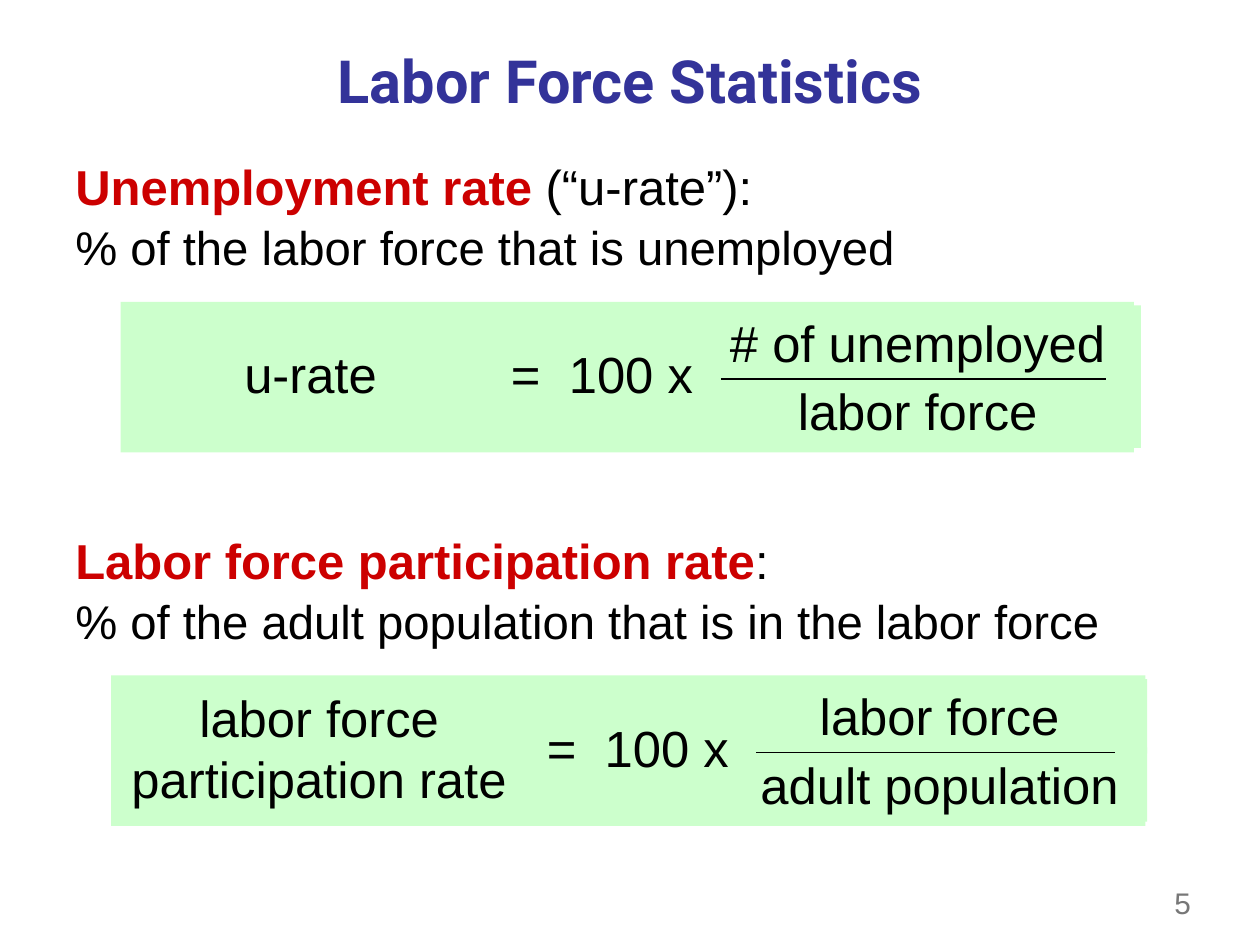
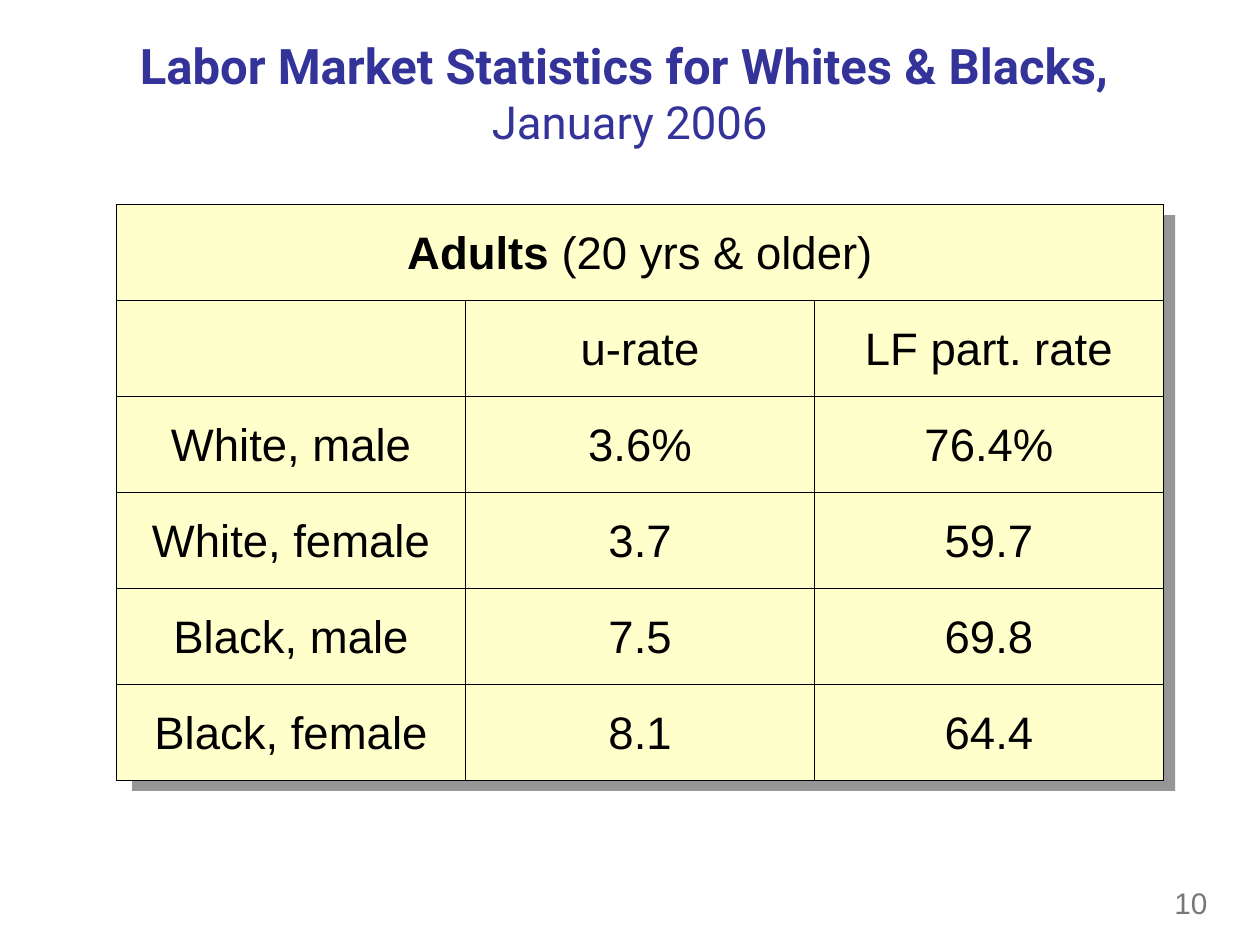
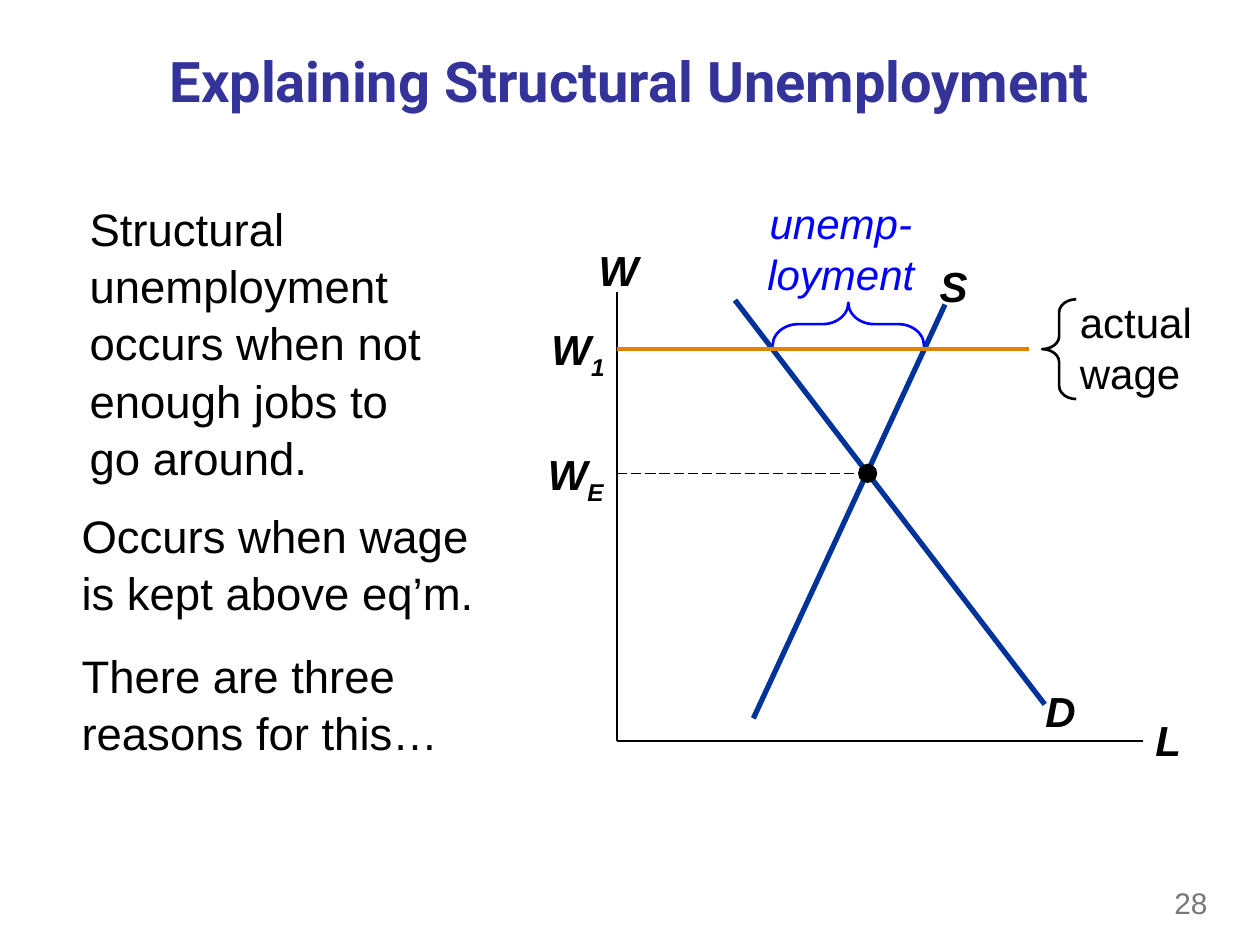
from dataclasses import dataclass, replace
from typing import NamedTuple

from lxml.etree import SubElement
from pptx import Presentation
from pptx.dml.color import RGBColor
from pptx.enum.dml import MSO_LINE
from pptx.enum.shapes import MSO_CONNECTOR, MSO_SHAPE
from pptx.enum.text import MSO_ANCHOR, MSO_AUTO_SIZE, PP_ALIGN
from pptx.oxml.ns import qn
from pptx.util import Pt

# Colours
BLACK = RGBColor(0x00, 0x00, 0x00)
TITLE_BLUE = RGBColor(0x33, 0x33, 0x99)
TERM_RED = RGBColor(0xCC, 0x00, 0x00)
PAGE_GREY = RGBColor(0x77, 0x77, 0x77)
FORMULA_GREEN = RGBColor(0xCC, 0xFF, 0xCC)
TABLE_YELLOW = RGBColor(0xFF, 0xFF, 0xCC)
SHADOW_GREY = RGBColor(0x96, 0x96, 0x96)
CURVE_BLUE = RGBColor(0x00, 0x33, 0x99)
WAGE_ORANGE = RGBColor(0xDE, 0x84, 0x00)
GAP_BLUE = RGBColor(0x00, 0x00, 0xFF)

TITLE_ONLY, TITLE_AND_BODY = 5, 1


class Box(NamedTuple):
    left: float
    top: float
    width: float
    height: float

    def lengths(self) -> list:
        return [Pt(value) for value in self]


class Span(NamedTuple):
    """Some words, with what differs from their paragraph."""
    text: str
    size: float | None = None
    color: RGBColor | None = None
    bold: bool | None = None
    subscript: bool = False


@dataclass(frozen=True)
class Style:
    size: float
    color: RGBColor = BLACK
    font: str = "Arial"
    bold: bool = False
    italic: bool = False
    align: PP_ALIGN = PP_ALIGN.LEFT
    before: float = 0
    spacing: float = 1.0
    anchor: MSO_ANCHOR = MSO_ANCHOR.TOP
    inset: bool = True


@dataclass(frozen=True)
class Formula:
    top: float
    panel: tuple[float, float]
    label: tuple[float, float]
    times_left: float
    fraction: tuple[float, float]
    bar: tuple[float, float]
    name: str
    numerator: str
    denominator: str


class Line(NamedTuple):
    start: tuple[float, float]
    end: tuple[float, float]
    color: RGBColor = BLACK
    weight: float = 1
    dash: MSO_LINE | None = None


class Label(NamedTuple):
    box: Box
    spans: list[Span]
    style: Style


# Text styles
TITLE = Style(34, TITLE_BLUE, "Roboto", bold=True, align=PP_ALIGN.CENTER,
              anchor=MSO_ANCHOR.MIDDLE)
PAGE = Style(17, PAGE_GREY, anchor=MSO_ANCHOR.MIDDLE)
DEFINITION = Style(28, before=15.1, spacing=1.05)
BODY = Style(26, before=14.6, spacing=1.05)
CELL = replace(BODY, align=PP_ALIGN.CENTER, anchor=MSO_ANCHOR.MIDDLE)
FRACTION = Style(29, align=PP_ALIGN.CENTER, before=18.1)
FORMULA_NAME = replace(FRACTION, anchor=MSO_ANCHOR.MIDDLE, inset=False)
FORMULA_TIMES = replace(FORMULA_NAME, align=PP_ALIGN.LEFT)
NOTE = Style(24, before=15)
SYMBOL = replace(NOTE, bold=True, italic=True, align=PP_ALIGN.CENTER)
WAGE_SYMBOL = replace(SYMBOL, align=PP_ALIGN.RIGHT, inset=False)
GAP_NOTE = replace(NOTE, color=GAP_BLUE, italic=True, align=PP_ALIGN.CENTER, inset=False)

TITLE_BOX = Box(36, 20, 648, 51)
PAGE_BOX = Box(664, 501, 48, 30)


# Text
def write_span(paragraph, span: Span) -> None:
    for index, line in enumerate(span.text.split("\n")):
        if index:
            paragraph.add_line_break()
        if not line:
            continue
        run = paragraph.add_run()
        run.text = line
        if span.size:
            run.font.size = Pt(span.size)
        if span.color is not None:
            run.font.color.rgb = span.color
        if span.bold is not None:
            run.font.bold = span.bold
        if span.subscript:
            run._r.get_or_add_rPr().set("baseline", "-25000")


def write_paragraph(paragraph, spans: list[Span], style: Style) -> None:
    paragraph.alignment = style.align
    paragraph.space_before = Pt(style.before)
    paragraph.line_spacing = style.spacing
    font = paragraph.font
    font.name, font.size = style.font, Pt(style.size)
    font.bold, font.italic = style.bold, style.italic
    font.color.rgb = style.color
    for span in spans:
        write_span(paragraph, span)


def write_frame(frame, paragraphs: list[list[Span]], style: Style) -> None:
    frame.word_wrap = True
    frame.auto_size = MSO_AUTO_SIZE.NONE
    frame.vertical_anchor = style.anchor
    frame.margin_left = frame.margin_right = Pt(7.2 if style.inset else 0)
    frame.margin_top = frame.margin_bottom = Pt(3.6 if style.inset else 0)
    for index, spans in enumerate(paragraphs):
        paragraph = frame.add_paragraph() if index else frame.paragraphs[0]
        write_paragraph(paragraph, spans, style)


def add_text(slide, box: Box, paragraphs: list[list[Span]], style: Style) -> None:
    write_frame(slide.shapes.add_textbox(*box.lengths()).text_frame, paragraphs, style)


def fill_placeholder(placeholder, box: Box, spans: list[Span], style: Style) -> None:
    placeholder.left, placeholder.top, placeholder.width, placeholder.height = box.lengths()
    write_frame(placeholder.text_frame, [spans], style)


# Shapes
def add_filled(slide, box: Box, color: RGBColor, kind=MSO_SHAPE.RECTANGLE):
    shape = slide.shapes.add_shape(kind, *box.lengths())
    shape.shadow.inherit = False
    shape.fill.solid()
    shape.fill.fore_color.rgb = color
    shape.line.fill.background()
    return shape


def add_line(slide, line: Line) -> None:
    ends = [Pt(value) for value in (*line.start, *line.end)]
    connector = slide.shapes.add_connector(MSO_CONNECTOR.STRAIGHT, *ends)
    connector.line.color.rgb = line.color
    connector.line.width = Pt(line.weight)
    if line.dash is not None:
        connector.line.dash_style = line.dash
    SubElement(connector._element.spPr, qn("a:effectLst"))


def add_brace(slide, box: Box, color: RGBColor, curl: float, rotation: float = 0) -> None:
    brace = slide.shapes.add_shape(MSO_SHAPE.LEFT_BRACE, *box.lengths())
    brace.shadow.inherit = False
    brace.fill.background()
    brace.line.color.rgb = color
    brace.line.width = Pt(1.5)
    brace.adjustments[0] = curl
    brace.rotation = rotation


def start_slide(deck, layout: int, page: int, title: list[Span],
                style: Style = TITLE, box: Box = TITLE_BOX):
    slide = deck.slides.add_slide(deck.slide_layouts[layout])
    fill_placeholder(slide.shapes.title, box, title, style)
    add_text(slide, PAGE_BOX, [[Span(str(page))]], PAGE)
    return slide


# Slide: rates and their formulas
def add_formula(slide, formula: Formula) -> None:
    def part(span: tuple[float, float], offset: float, height: float,
             text: str, style: Style) -> None:
        left, width = span
        shape = add_filled(slide, Box(left, formula.top + offset, width, height), FORMULA_GREEN)
        write_frame(shape.text_frame, [[Span(text)]], style)

    left, width = formula.panel
    add_filled(slide, Box(left, formula.top, width, 86), FORMULA_GREEN)
    part(formula.label, 4, 74, formula.name, FORMULA_NAME)
    part(formula.fraction, 2, 42.5, formula.numerator, FRACTION)
    part(formula.fraction, 41, 42.5, formula.denominator, FRACTION)
    bar_start, bar_end = formula.bar
    bar_y = formula.top + 44
    add_line(slide, Line((bar_start, bar_y), (bar_end, bar_y)))
    part((formula.times_left, 112), 4, 74, "=  100 x", FORMULA_TIMES)


def build_statistics(deck) -> None:
    slide = start_slide(deck, TITLE_ONLY, 5, [Span("Labor Force Statistics")])
    definitions = [
        (84, "Unemployment rate", " (“u-rate”):",
         "% of the labor force that is unemployed"),
        (298, "Labor force participation rate", ":",
         "% of the adult population that is in the labor force"),
    ]
    for top, term, rest, meaning in definitions:
        spans = [Span(term, color=TERM_RED, bold=True), Span(rest + "\n"), Span(meaning, 27)]
        add_text(slide, Box(36, top, 648, 85), [spans], DEFINITION)
    formulas = [
        Formula(172.5, (69, 579), (76, 203), 292, (397, 255), (412, 632),
                "u-rate", "# of unemployed", "labor force"),
        Formula(386, (63.5, 591), (65, 235), 312.5, (418.5, 237), (432, 637),
                "labor force participation rate", "labor force", "adult population"),
    ]
    for formula in formulas:
        add_formula(slide, formula)


# Slide: table of rates by group
def style_cell(cell) -> None:
    cell.fill.solid()
    cell.fill.fore_color.rgb = TABLE_YELLOW
    cell.vertical_anchor = MSO_ANCHOR.MIDDLE
    properties = cell._tc.get_or_add_tcPr()
    for index, side in enumerate(("a:lnL", "a:lnR", "a:lnT", "a:lnB")):
        border = SubElement(properties, qn(side), w=str(Pt(0.45)))
        fill = SubElement(border, qn("a:solidFill"))
        SubElement(fill, qn("a:srgbClr"), val=str(BLACK))
        properties.insert(index, border)


def build_groups(deck) -> None:
    title = [Span("Labor Market Statistics for Whites & Blacks, \n"),
             Span("January 2006", 26, bold=False)]
    slide = start_slide(deck, TITLE_ONLY, 10, title, replace(TITLE, size=28),
                        Box(0, 18, 720, 69))
    add_filled(slide, Box(75.5, 123, 596, 329), SHADOW_GREY)
    rows = [
        ("", "", ""),
        ("", "u-rate", "LF part. rate"),
        ("White, male", "3.6%", "76.4%"),
        ("White, female", "3.7", "59.7"),
        ("Black, male", "7.5", "69.8"),
        ("Black, female", "8.1", "64.4"),
    ]
    table_box = Box(66.7, 116.8, 598.2, 329)
    table = slide.shapes.add_table(len(rows), 3, *table_box.lengths()).table
    table.first_row = table.horz_banding = False
    for row_index, row in enumerate(rows):
        for column_index, text in enumerate(row):
            cell = table.cell(row_index, column_index)
            style_cell(cell)
            if text:
                write_paragraph(cell.text_frame.paragraphs[0], [Span(text)], CELL)
    heading = table.cell(0, 0)
    heading.merge(table.cell(0, 2))
    write_paragraph(heading.text_frame.paragraphs[0],
                    [Span("Adults", bold=True), Span(" (20 yrs & older)")], CELL)


# Slide: labor market diagram
def build_structural(deck) -> None:
    slide = start_slide(deck, TITLE_AND_BODY, 28, [Span("Explaining Structural Unemployment")],
                        replace(TITLE, size=32))
    body = slide.placeholders[1]
    fill_placeholder(body, Box(44, 109.5, 253, 177), [Span(
        "Structural unemployment \noccurs when not enough jobs to \ngo around.")], BODY)
    properties = body.text_frame.paragraphs[0]._p.get_or_add_pPr()
    properties.set("marL", "0")
    properties.set("indent", "0")
    bullet = SubElement(properties, qn("a:buNone"))
    properties.find(qn("a:defRPr")).addprevious(bullet)
    add_text(slide, Box(39.5, 285, 290, 201), [
        [Span("Occurs when wage\nis kept above eq’m.")],
        [Span("There are three reasons for this…")],
    ], BODY)

    axis_x, axis_y, wage_y, equilibrium_y = 352.5, 423.5, 199.5, 270.7
    lines = [
        Line((axis_x, 167), (axis_x, axis_y)),
        Line((axis_x, axis_y), (653, axis_y)),
        Line((420, 171.5), (597, 402.5), CURVE_BLUE, 3),
        Line((430.5, 410.5), (540, 174), CURVE_BLUE, 3),
        Line((axis_x, equilibrium_y), (496, equilibrium_y), BLACK, 0.75, MSO_LINE.LONG_DASH),
        Line((axis_x, wage_y), (588, wage_y), WAGE_ORANGE, 2.25),
    ]
    for line in lines:
        add_line(slide, line)
    add_filled(slide, Box(490.3, 265, 11, 11), BLACK, MSO_SHAPE.OVAL)
    add_brace(slide, Box(595.5, 171, 19.5, 57), BLACK, 0.38)
    add_brace(slide, Box(472.5, 142, 24.5, 86.5), GAP_BLUE, 0.6, rotation=90)

    labels = [
        Label(Box(335, 136, 33, 36), [Span("W")], SYMBOL),
        Label(Box(649.5, 404.5, 36, 36), [Span("L")], SYMBOL),
        Label(Box(586, 388, 40, 36), [Span("D")], SYMBOL),
        Label(Box(525, 145.5, 40, 36), [Span("S")], SYMBOL),
        Label(Box(271.5, 256.3, 73.5, 33), [Span("W"), Span("E", subscript=True)], WAGE_SYMBOL),
        Label(Box(272, 185, 73.5, 33), [Span("W"), Span("1", subscript=True)], WAGE_SYMBOL),
        Label(Box(610, 166, 88, 65), [Span("actual wage")], NOTE),
        Label(Box(432, 113, 97, 58), [Span("unemp-loyment")], GAP_NOTE),
    ]
    for label in labels:
        add_text(slide, label.box, [label.spans], label.style)


def main() -> None:
    deck = Presentation()
    deck.slide_width, deck.slide_height = Pt(720), Pt(540)
    build_statistics(deck)
    build_groups(deck)
    build_structural(deck)
    deck.save("out.pptx")


if __name__ == "__main__":
    main()
